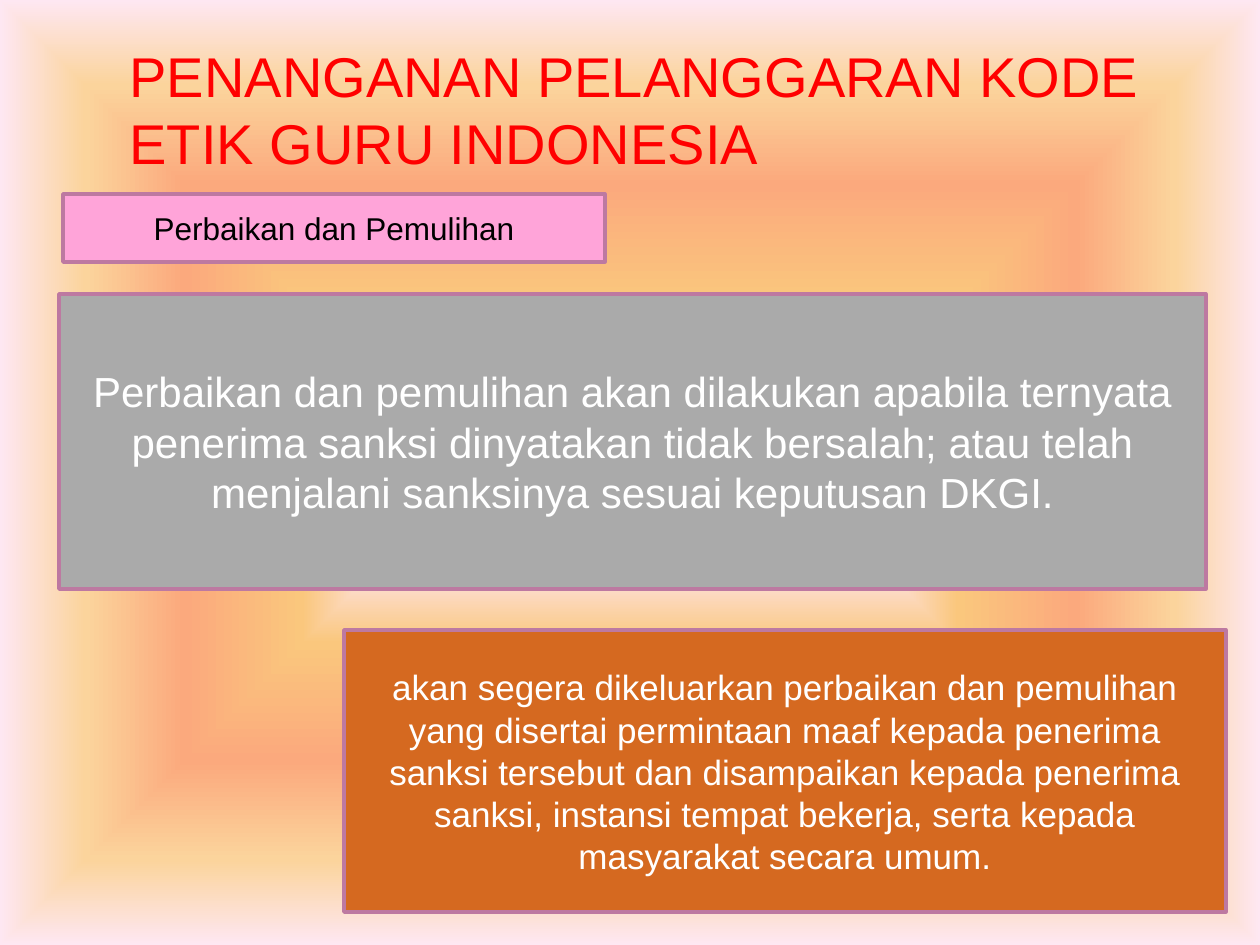
from dataclasses import dataclass

from lxml.etree import SubElement as Sub
from pptx import Presentation
from pptx.dml.color import RGBColor as Rgb
from pptx.enum.shapes import MSO_SHAPE as Shape
from pptx.enum.text import MSO_ANCHOR as Anchor, MSO_AUTO_SIZE as Fit, PP_ALIGN as Align
from pptx.oxml.ns import qn
from pptx.slide import Slide
from pptx.text.text import TextFrame
from pptx.util import Emu, Pt

SCALE = 914400 / 126


@dataclass(frozen=True)
class Theme:
    font: str = "Arial"
    red: str = "FF0000"
    black: str = "000000"
    white: str = "FFFFFF"
    pink: str = "FFA4D9"
    gray: str = "AAAAAA"
    rust: str = "D56920"
    edge: str = "BD79A1"
    rim: str = "B17296"
    head: int = 32
    large: int = 24
    body: int = 20
    label: int = 18
    glow: tuple = ((0, "FBEAC7"), (18, "FEE7F2"), (36, "FAC77D"),
                   (61, "FBA97D"), (82, "FBD49C"), (100, "FEE7F2"))


@dataclass(frozen=True)
class Panel:
    box: tuple[int, int, int, int]
    fill: str
    text: str
    size: int
    color: str


THEME = Theme()

TITLE = "PENANGANAN PELANGGARAN KODE ETIK GURU INDONESIA"

PANELS = (
    Panel((63, 194, 542, 68), THEME.pink, "Perbaikan dan Pemulihan",
          THEME.label, THEME.black),
    Panel((59, 294, 1147, 295), THEME.gray,
          "Perbaikan dan pemulihan akan dilakukan apabila ternyata penerima "
          "sanksi dinyatakan tidak bersalah; atau telah menjalani sanksinya "
          "sesuai keputusan DKGI.",
          THEME.large, THEME.white),
    Panel((344, 630, 882, 282), THEME.rust,
          "akan segera dikeluarkan perbaikan dan pemulihan yang disertai "
          "permintaan maaf kepada penerima sanksi tersebut dan disampaikan "
          "kepada penerima sanksi, instansi tempat bekerja, serta kepada "
          "masyarakat secara umum.",
          THEME.body, THEME.white),
)


def px(n: int) -> Emu:
    return Emu(round(n * SCALE))


def write(frame: TextFrame, text: str, *, size: int, color: str,
          align: Align = Align.CENTER, indent: int = 0, rim: str = "") -> None:
    frame.word_wrap = True
    frame.auto_size = Fit.NONE
    frame.vertical_anchor = Anchor.MIDDLE
    para = frame.paragraphs[0]
    para.alignment = align
    if indent:
        props = para._p.get_or_add_pPr()
        props.set("marL", str(px(indent)))
        props.set("indent", "0")
    run = para.add_run()
    run.text = text
    font = run.font
    font.name, font.size = THEME.font, Pt(size)
    font.color.rgb = Rgb.from_string(color)
    if rim:
        props = run._r.get_or_add_rPr()
        line = Sub(props, qn("a:ln"), w=str(Pt(0.5)))
        Sub(Sub(line, qn("a:solidFill")), qn("a:srgbClr"), val=rim)
        props.insert(0, line)


def paint(slide: Slide) -> None:
    slide.background.fill.gradient()
    grad = slide.element.xpath(".//p:bgPr/a:gradFill")[0]
    for child in list(grad):
        grad.remove(child)
    stops = Sub(grad, qn("a:gsLst"))
    for spot, color in THEME.glow:
        stop = Sub(stops, qn("a:gs"), pos=str(spot * 1000))
        Sub(stop, qn("a:srgbClr"), val=color)
    route = Sub(grad, qn("a:path"), path="shape")
    Sub(route, qn("a:fillToRect"), {side: "50000" for side in "ltrb"})


def draw(slide: Slide, panel: Panel) -> None:
    shape = slide.shapes.add_shape(Shape.RECTANGLE, *map(px, panel.box))
    shape.shadow.inherit = False
    shape.fill.solid()
    shape.fill.fore_color.rgb = Rgb.from_string(panel.fill)
    shape.line.color.rgb = Rgb.from_string(THEME.edge)
    shape.line.width = Pt(2)
    write(shape.text_frame, panel.text, size=panel.size, color=panel.color)


def main() -> None:
    deck = Presentation()
    deck.slide_width, deck.slide_height = px(1260), px(945)
    slide = deck.slides.add_slide(deck.slide_layouts[5])
    paint(slide)
    title = slide.shapes.title
    title.left, title.top, title.width, title.height = map(px, (50, 34, 1135, 149))
    write(title.text_frame, TITLE, size=THEME.head, color=THEME.red,
          align=Align.LEFT, indent=67, rim=THEME.rim)
    for panel in PANELS:
        draw(slide, panel)
    deck.save("out.pptx")


if __name__ == "__main__":
    main()
